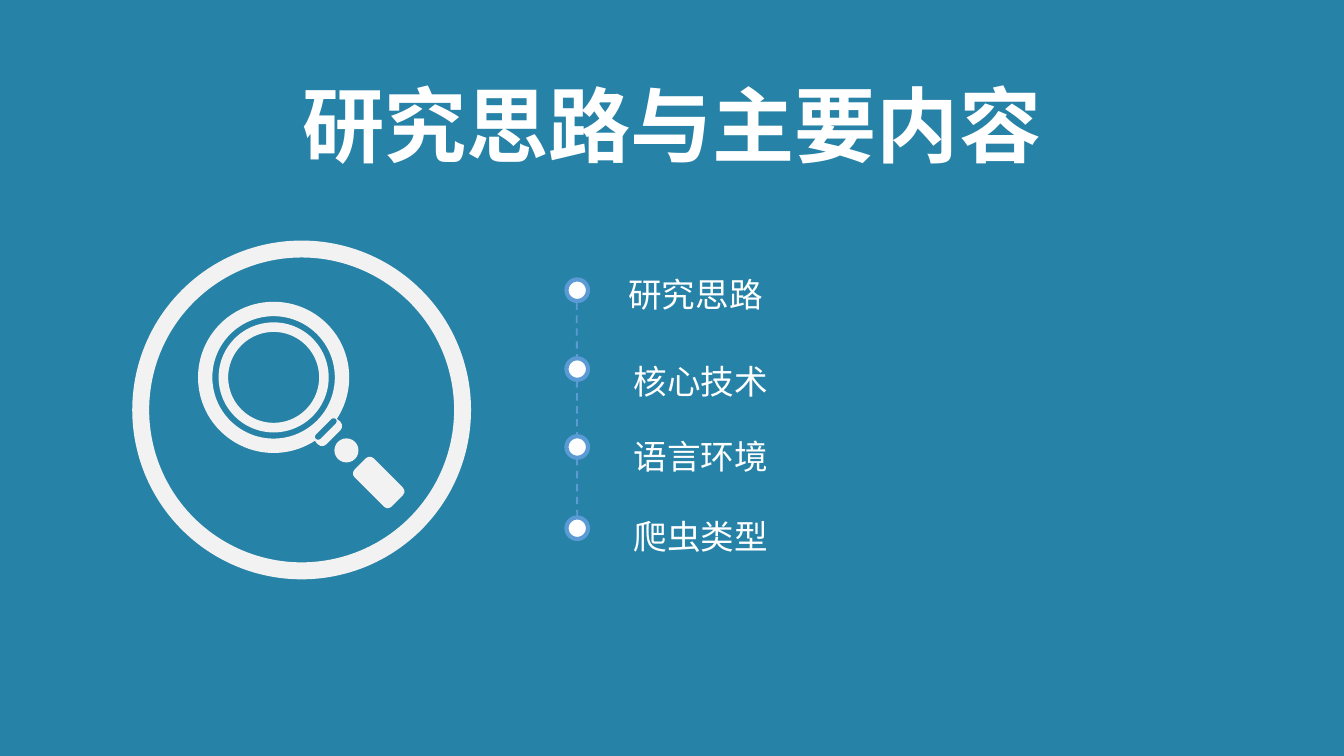
from pptx import Presentation
from pptx.dml.color import RGBColor
from pptx.enum.dml import MSO_LINE
from pptx.enum.shapes import MSO_CONNECTOR, MSO_SHAPE
from pptx.enum.text import MSO_ANCHOR, PP_ALIGN
from pptx.oxml.ns import qn
from pptx.util import Pt
from lxml.etree import SubElement

FONT = "Noto Sans CJK SC"
BLUE, WHITE, PALE, RING = "2782A7", "FFFFFF", "F2F2F2", "5B9BD5"


def paint(color, hue):
    """Set a fill, line or font colour from a hex string."""
    if hasattr(color, "solid"):
        color.solid()
        color = color.fore_color
    else:
        color = color.color
    color.rgb = RGBColor.from_string(hue)


def write(box, text, size):
    """Fill a box with one white paragraph and return it."""
    frame = box.text_frame
    frame.word_wrap = True
    frame.vertical_anchor = MSO_ANCHOR.TOP
    para = frame.paragraphs[0]
    para.text = text
    font = para.font
    font.size, font.name = Pt(size), FONT
    paint(font, WHITE)
    SubElement(para._p.pPr.find(qn("a:defRPr")), qn("a:ea"), typeface=FONT)
    return para


deck = Presentation()
deck.slide_width, deck.slide_height = Pt(720), Pt(405)
slide = deck.slides.add_slide(deck.slide_layouts[5])
shapes = slide.shapes

# Backdrop and content panel
for left, top, high in [(0, -2, 407.5), (8.5, 71.5, 308)]:
    panel = shapes.add_shape(MSO_SHAPE.RECTANGLE, Pt(left), Pt(top), Pt(720), Pt(high))
    panel.shadow.inherit = False
    paint(panel.fill, BLUE)
    panel.line.fill.background()

# Title, in front of the panels
title = shapes.title
shapes._spTree.append(title._element)
title.left, title.top, title.width, title.height = Pt(144.5), Pt(36), Pt(431), Pt(60.5)
para = write(title, "研究思路与主要内容", 44)
para.alignment = PP_ALIGN.CENTER
para.font.bold = True

# Dashed timeline
line = shapes.add_connector(MSO_CONNECTOR.STRAIGHT, Pt(309), Pt(162), Pt(309.25), Pt(289))
paint(line.line, RING)
line.line.width = Pt(1)
line.line.dash_style = MSO_LINE.DASH
SubElement(line._element.spPr, qn("a:effectLst"))

# Dots and topics: text, dot top, text left, text top, line spacing
topics = [
    ("研究思路", 149.75, 329.5, 143, 1),
    ("核心技术", 192, 332.25, 179, 1.5),
    ("语言环境", 233.75, 332.25, 219.25, 1.5),
    ("爬虫类型", 277.25, 332.25, 262, 1.5),
]
for text, mark, left, top, space in topics:
    dot = shapes.add_shape(MSO_SHAPE.OVAL, Pt(303.5), Pt(mark), Pt(11.5), Pt(11.5))
    dot.shadow.inherit = False
    paint(dot.fill, WHITE)
    paint(dot.line, RING)
    dot.line.width = Pt(2.25)
    box = shapes.add_textbox(Pt(left), Pt(top), Pt(303), Pt(29 if space == 1 else 36))
    para = write(box, text, 18)
    if space != 1:
        para.line_spacing = space

# Magnifier: shape, centre x, centre y, width, height, turn, adjustment, colour
ring, bar = MSO_SHAPE.DONUT, MSO_SHAPE.ROUNDED_RECTANGLE
parts = [
    (ring, 161.6, 219.6, 181.5, 181.5, 0, 0.05, PALE),    # frame
    (ring, 146.6, 202.2, 81, 81, 0, 0.095, PALE),         # rim
    (ring, 146.6, 202.2, 59, 59, 0, 0.087, PALE),         # lens
    (bar, 175.9, 231.6, 17, 7.6, -45, 0.4, PALE),         # collar
    (bar, 174.6, 229.8, 15, 3.2, -45, 0.5, BLUE),         # slit
    (MSO_SHAPE.OVAL, 185.6, 241.3, 12.9, 12.9, 0, None, PALE),  # joint
    (bar, 202.9, 258.5, 28, 14.4, 45, 0.2, PALE),         # handle
]
icon = shapes.add_group_shape()
for kind, x, y, wide, high, turn, bend, hue in parts:
    part = icon.shapes.add_shape(kind, Pt(x - wide / 2), Pt(y - high / 2), Pt(wide), Pt(high))
    part.shadow.inherit = False
    part.rotation = turn
    if bend is not None:
        part.adjustments[0] = bend
    paint(part.fill, hue)
    part.line.fill.background()

deck.save("out.pptx")
